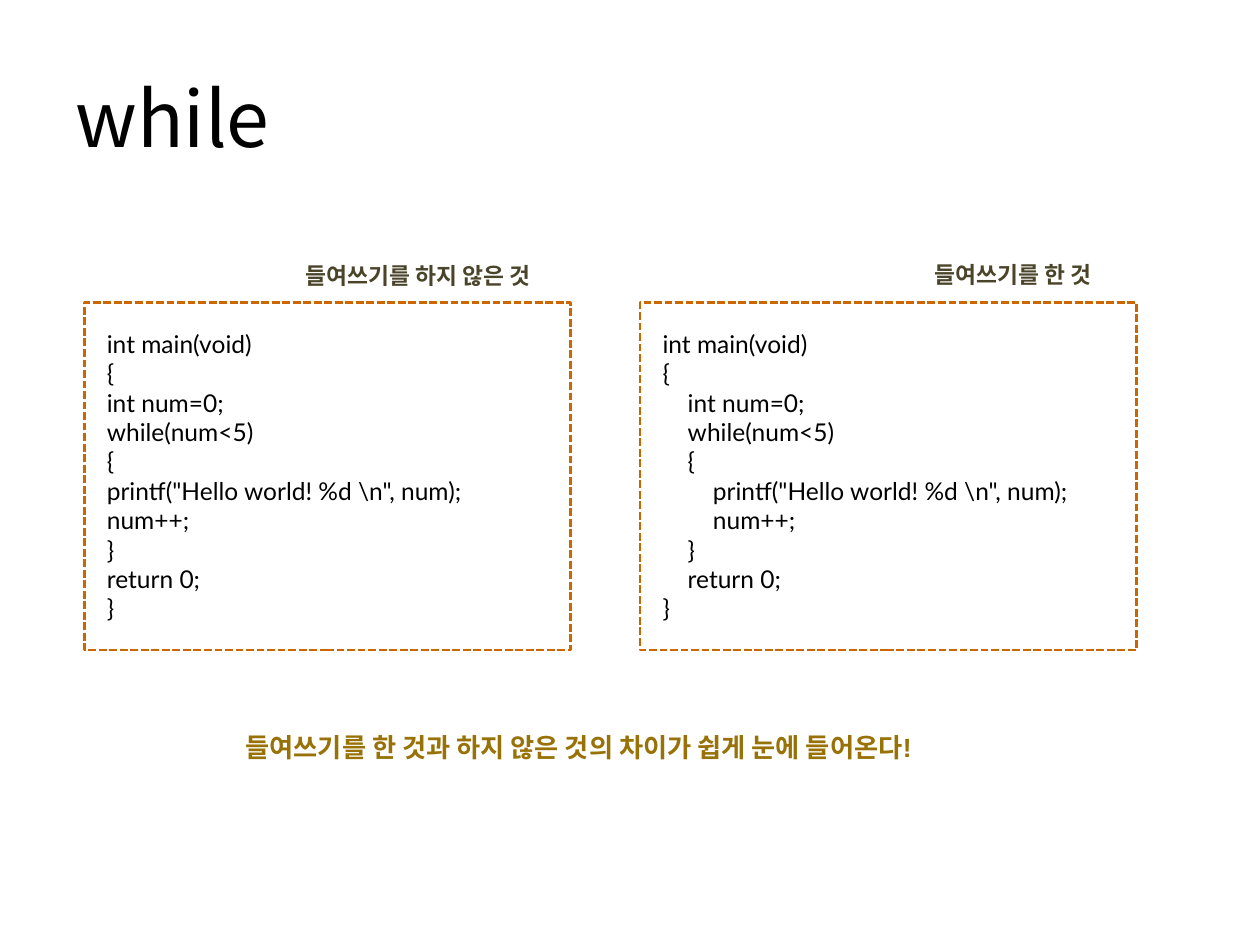
"""Build a slide comparing a while loop without and with indentation."""
from lxml.etree import SubElement
from pptx import Presentation
from pptx.dml.color import RGBColor
from pptx.enum.dml import MSO_LINE
from pptx.enum.shapes import MSO_SHAPE
from pptx.enum.text import MSO_ANCHOR, MSO_AUTO_SIZE
from pptx.oxml.ns import qn
from pptx.util import Inches, Pt

THEME = {
    "title": {"size": 44, "name": "Noto Sans CJK KR", "color": "000000", "bold": False},
    "code": {"size": 14, "name": "Lato", "color": "000000", "bold": False},
    "label": {"size": 13, "name": "Arial", "color": "4A452A", "bold": True},
    "remark": {"size": 15, "name": "Arial", "color": "987206", "bold": True},
    "east_asian": "Noto Sans CJK KR",
    "frame": "CC6600",
}

deck = Presentation()
deck.slide_width, deck.slide_height = Inches(10), Inches(7.5)
page = deck.slides.add_slide(deck.slide_layouts[6])
COLUMN, ROW = deck.slide_width / 100, deck.slide_height / 75


def place(left, top, width, height):
    return int(left * COLUMN), int(top * ROW), int(width * COLUMN), int(height * ROW)


def add_text(area, lines, style, spacing=1.0, anchor=MSO_ANCHOR.TOP, fit=MSO_AUTO_SIZE.SHAPE_TO_FIT_TEXT):
    frame = page.shapes.add_textbox(*place(*area)).text_frame
    for key, value in {"word_wrap": True, "auto_size": fit, "vertical_anchor": anchor}.items():
        setattr(frame, key, value)
    look = THEME[style]
    for number, (level, text) in enumerate(lines):
        para = frame.add_paragraph() if number else frame.paragraphs[0]
        para.line_spacing = spacing
        if level:
            para._p.get_or_add_pPr().set("marL", str(int(level * INDENT * COLUMN)))
        span = para.add_run()
        span.text = text
        for key, value in {"size": Pt(look["size"]), "name": look["name"], "bold": look["bold"]}.items():
            setattr(span.font, key, value)
        span.font.color.rgb = RGBColor.from_string(look["color"])
        SubElement(span._r.get_or_add_rPr(), qn("a:ea"), typeface=THEME["east_asian"])


INDENT = 2
FRAME_TOP, FRAME_HEIGHT = 24, 27.6
PADDING_X, PADDING_Y = 0.8, 1.6
PROGRAM = [
    (0, "int main(void)"),
    (0, "{"),
    (1, "int num=0;"),
    (1, "while(num<5)"),
    (1, "{"),
    (2, 'printf("Hello world! %d \\n", num);'),
    (2, "num++;"),
    (1, "}"),
    (1, "return 0;"),
    (0, "}"),
]
PANELS = [
    {"left": 6.7, "width": 38.6, "label": "들여쓰기를 하지 않은 것", "label_width": 22, "label_top": 20.3, "depth": 0},
    {"left": 50.8, "width": 39.4, "label": "들여쓰기를 한 것", "label_width": 17, "label_top": 20.2, "depth": 1},
]

add_text((5, 3, 90, 12.5), [(0, "while")], "title", anchor=MSO_ANCHOR.MIDDLE, fit=MSO_AUTO_SIZE.NONE)

for panel in PANELS:
    left, width = panel["left"], panel["width"]
    box = page.shapes.add_shape(MSO_SHAPE.RECTANGLE, *place(left, FRAME_TOP, width, FRAME_HEIGHT))
    box.shadow.inherit = False
    box.fill.background()
    box.line.color.rgb = RGBColor.from_string(THEME["frame"])
    for key, value in {"width": Pt(1.5), "dash_style": MSO_LINE.SQUARE_DOT}.items():
        setattr(box.line, key, value)
    code_area = (left + PADDING_X, FRAME_TOP + PADDING_Y, width - 2 * PADDING_X, FRAME_HEIGHT - 2 * PADDING_Y)
    add_text(code_area, [(level * panel["depth"], text) for level, text in PROGRAM], "code")
    label_left = left + width - panel["label_width"]
    add_text((label_left, panel["label_top"], panel["label_width"], 3.2), [(0, panel["label"])], "label")

add_text((18.5, 56.3, 62.2, 4.8), [(0, "들여쓰기를 한 것과 하지 않은 것의 차이가 쉽게 눈에 들어온다!")], "remark", spacing=1.5)

deck.save("out.pptx")
